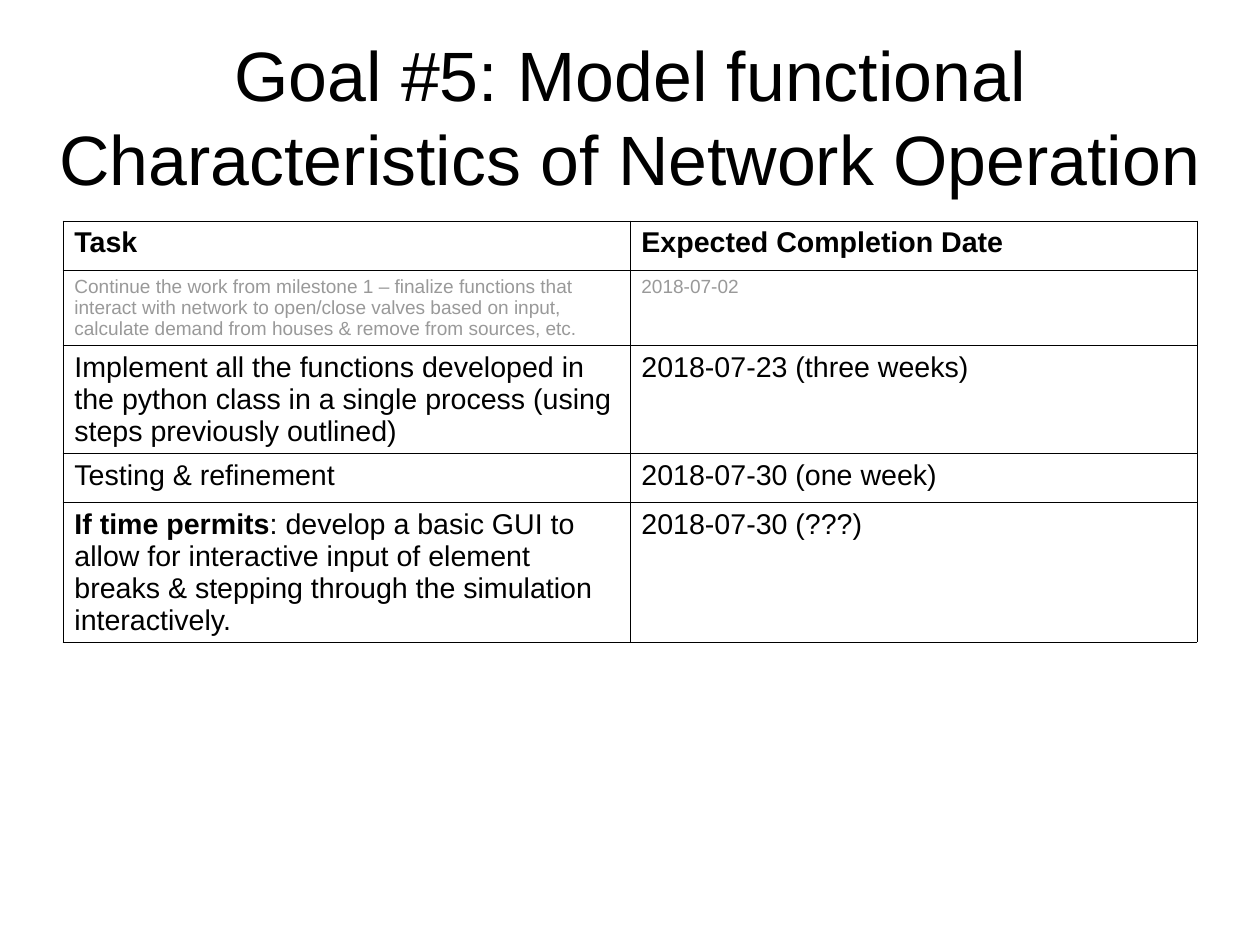
from pptx import Presentation
from pptx.dml.color import RGBColor as RGB
from pptx.enum.text import MSO_ANCHOR as ANCHOR, PP_ALIGN as ALIGN
from pptx.oxml.ns import qn
from pptx.util import Cm, Pt
from lxml.etree import SubElement as Sub

COLS, ROWS = 28, 21
BLACK, GREY = "000000", "999999"


def color(value):
    return RGB.from_string(value)


class Deck:
    """Holds the style and the current slide; places are grid columns and rows."""
    font = "Arial"
    border = Pt(0.57)

    def __init__(self):
        self.prs = Presentation()
        self.prs.slide_width = Cm(COLS)
        self.prs.slide_height = Cm(ROWS)
        self.s = self.prs.slides.add_slide(self.prs.slide_layouts[6])

    def x(self, cols):
        return round(self.prs.slide_width * cols / COLS)

    def y(self, rows):
        return round(self.prs.slide_height * rows / ROWS)

    def box(self, left, top, width, height):
        return self.x(left), self.y(top), self.x(width), self.y(height)

    def run(self, p, text, size, ink=BLACK, bold=False):
        r = p.add_run()
        r.text = text
        r.font.name, r.font.size, r.font.bold = self.font, Pt(size), bold
        r.font.color.rgb = color(ink)

    def title(self, text, area, size):
        tf = self.s.shapes.add_textbox(*self.box(*area)).text_frame
        tf.word_wrap = True
        tf.vertical_anchor = ANCHOR.MIDDLE
        tf.margin_left = tf.margin_right = tf.margin_top = tf.margin_bottom = 0
        p = tf.paragraphs[0]
        p.alignment = ALIGN.CENTER
        self.run(p, text, size)

    def outline(self, cell):
        tc_pr = cell._tc.get_or_add_tcPr()
        for side in ("a:lnL", "a:lnR", "a:lnT", "a:lnB"):
            ln = Sub(tc_pr, qn(side), w=str(int(self.border)))
            Sub(Sub(ln, qn("a:solidFill")), qn("a:srgbClr"), val=BLACK)

    def table(self, rows, left, top, width, heights):
        area = self.box(left, top, width, sum(heights))
        tbl = self.s.shapes.add_table(len(rows), len(rows[0][0]), *area).table
        tbl.first_row = tbl.horz_banding = False
        for i, (cells, style) in enumerate(rows):
            tbl.rows[i].height = self.y(heights[i])
            for j, runs in enumerate(cells):
                cell = tbl.cell(i, j)
                self.outline(cell)
                cell.fill.background()
                for text, bold in runs:
                    self.run(cell.text_frame.paragraphs[0], text, bold=bold, **style)


def plain(text):
    return [(text, False)]


def strong(text):
    return [(text, True)]


NORMAL = {"size": 18}
DONE = {"size": 12, "ink": GREY}

# Each row: its cells as lists of runs, then its text style
TASKS = [
    ([strong("Task"), strong("Expected Completion Date")], NORMAL),
    ([plain("Continue the work from milestone 1 – finalize functions that interact "
            "with network to open/close valves based on input, calculate demand "
            "from houses & remove from sources, etc."),
      plain("2018-07-02")], DONE),
    ([plain("Implement all the functions developed in the python class in a single "
            "process (using steps previously outlined)"),
      plain("2018-07-23 (three weeks)")], NORMAL),
    ([plain("Testing & refinement"), plain("2018-07-30 (one week)")], NORMAL),
    ([strong("If time permits")
      + plain(": develop a basic GUI to allow for interactive input of element "
              "breaks & stepping through the simulation interactively."),
      plain("2018-07-30 (???)")], NORMAL),
]


def main():
    deck = Deck()
    # Task table
    deck.table(TASKS, 1.4, 4.91, 25.2, [1.09, 1.67, 2.4, 1.09, 3.09])
    # Title
    deck.title("Goal #5: Model functional Characteristics of Network Operation",
               (1, -0.03, 26.03, 5.21), 44)
    deck.prs.save("out.pptx")


if __name__ == "__main__":
    main()
